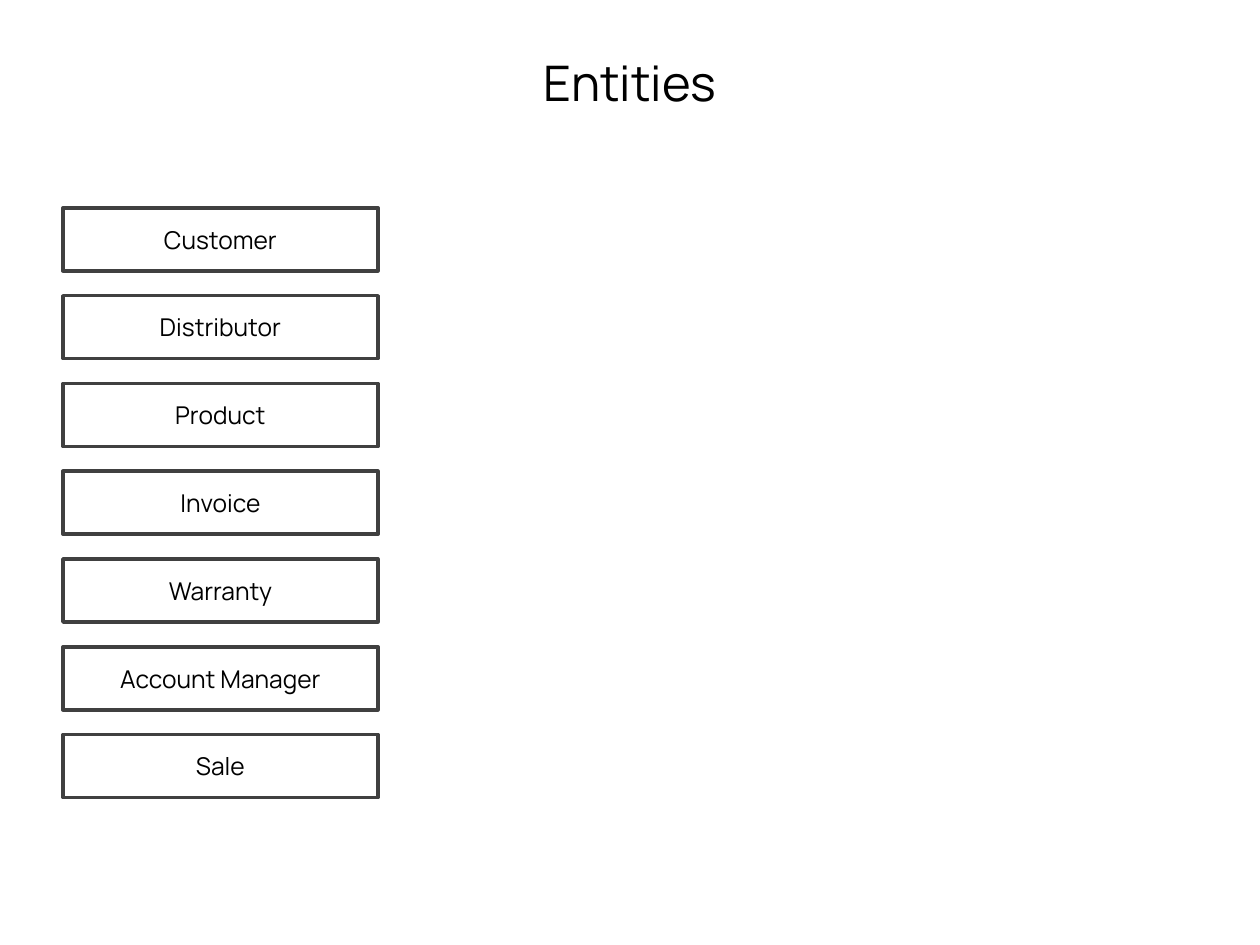
import pptx
import pptx.dml.color
import pptx.enum.shapes
import pptx.enum.text
import pptx.util

Pt = pptx.util.Pt
FONT = "Manrope"
COLOURS = {"background": "FFFFFF", "text": "000000", "border": "404040"}
ENTITIES = ["Customer", "Distributor", "Product", "Invoice",
            "Warranty", "Account Manager", "Sale"]
ENTITY_HEIGHT = 36


def colour(name):
    """Return the named colour."""
    return pptx.dml.color.RGBColor.from_string(COLOURS[name])


def write_label(shape, text, size):
    """Write one centred line of text in the shape."""
    frame = shape.text_frame
    frame.text = text
    frame.word_wrap = True
    frame.vertical_anchor = pptx.enum.text.MSO_ANCHOR.MIDDLE
    line = frame.paragraphs[0]
    line.alignment = pptx.enum.text.PP_ALIGN.CENTER
    line.font.name = FONT
    line.font.size = Pt(size)
    line.font.color.rgb = colour("text")


def place_heading(slide, left, top, width, height):
    """Place the slide heading in the given box."""
    heading = slide.shapes.title
    heading.left, heading.top = Pt(left), Pt(top)
    heading.width, heading.height = Pt(width), Pt(height)
    write_label(heading, "Entities", 28)


def place_entities(slide, left, top, width, height):
    """Stack the entities evenly over the height of the given box."""
    pitch = (height - ENTITY_HEIGHT) / (len(ENTITIES) - 1)
    for row, name in enumerate(ENTITIES):
        entity = slide.shapes.add_shape(
            pptx.enum.shapes.MSO_SHAPE.RECTANGLE,
            Pt(left), Pt(top + row * pitch), Pt(width), Pt(ENTITY_HEIGHT))
        entity.shadow.inherit = False
        entity.fill.solid()
        entity.fill.fore_color.rgb = colour("background")
        entity.line.color.rgb = colour("border")
        entity.line.width = Pt(2)
        write_label(entity, name, 14)


def main():
    """Build the entities slide and save it."""
    deck = pptx.Presentation()
    deck.slide_width, deck.slide_height = Pt(720), Pt(540)
    slide = deck.slides.add_slide(deck.slide_layouts[5])
    slide.background.fill.solid()
    slide.background.fill.fore_color.rgb = colour("background")
    place_heading(slide, 36, 21.6, 648, 50.4)
    place_entities(slide, 36, 118.8, 180, 337)
    deck.save("out.pptx")


if __name__ == "__main__":
    main()
